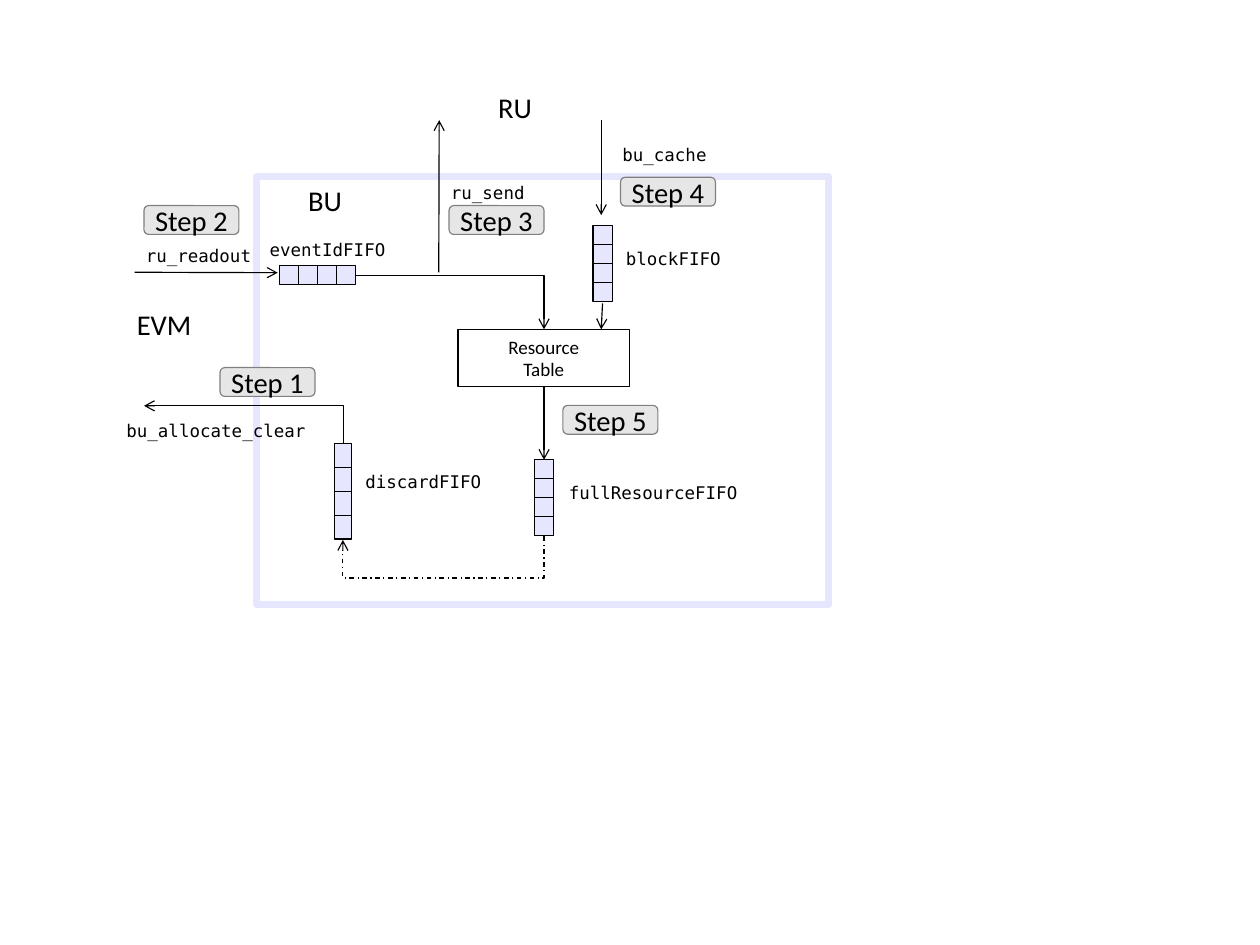
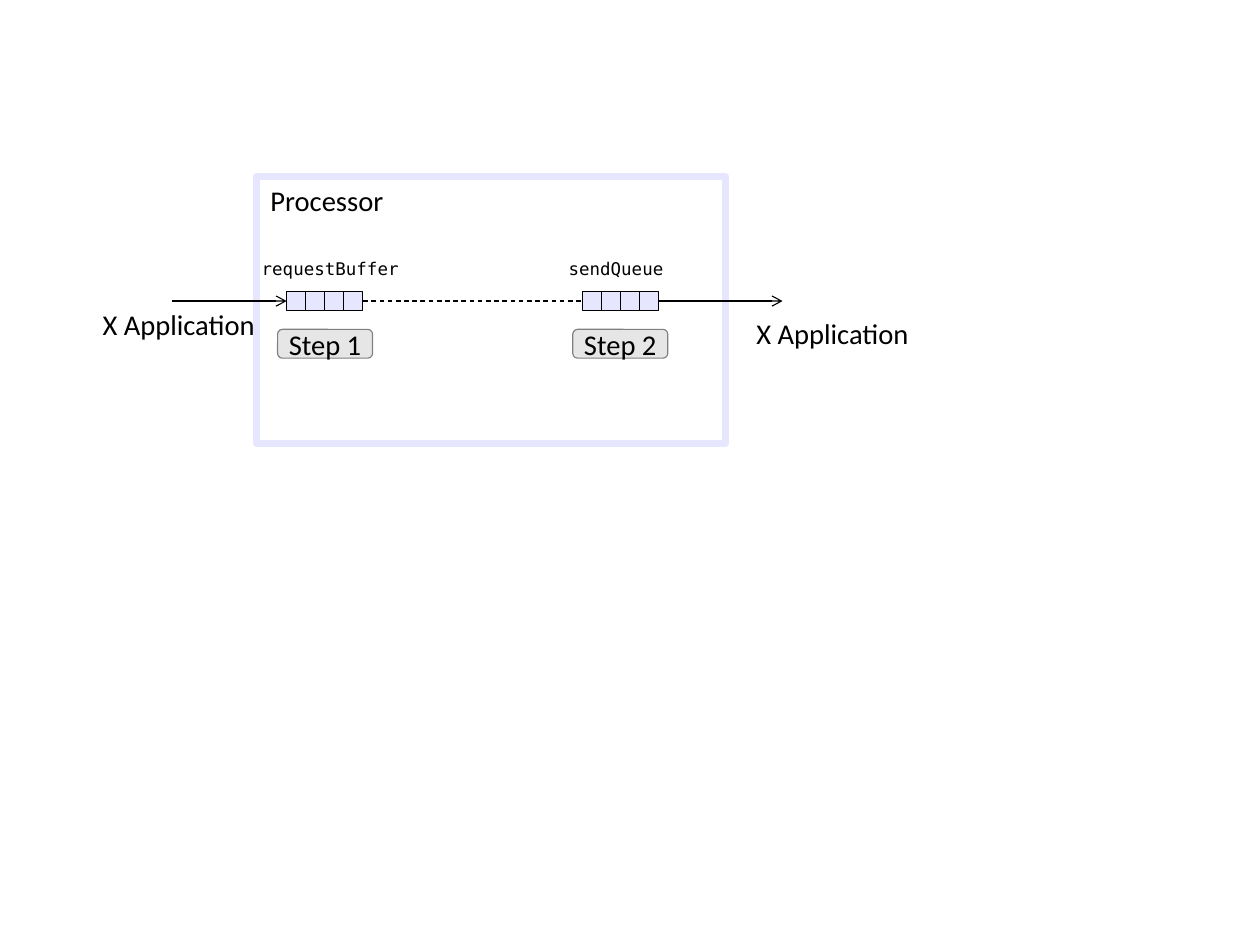
from lxml import etree
from pptx import Presentation
from pptx.dml.color import RGBColor
from pptx.enum import dml, shapes, text
from pptx.oxml import ns
from pptx.util import Cm, Pt

LAVENDER = RGBColor(0xE6, 0xE6, 0xFF)
LIGHT_GREY = RGBColor(0xE6, 0xE6, 0xE6)
MID_GREY = RGBColor(0x80, 0x80, 0x80)
BLACK = RGBColor(0, 0, 0)
WHITE = RGBColor(0xFF, 0xFF, 0xFF)

SANS = "Calibri"
MONO = "DejaVu Sans Mono"
LEFT, CENTER = text.PP_ALIGN.LEFT, text.PP_ALIGN.CENTER
RECT = shapes.MSO_SHAPE.RECTANGLE
ROUNDED = shapes.MSO_SHAPE.ROUNDED_RECTANGLE
FRAME_LEFT, FRAME_TOP = 5.71, 3.92
CELL = 0.43
CELL_PITCH = 0.42
CELL_COUNT = 4
MONO_ADVANCE = 0.24
LABEL_PADDING = 0.6


def write(frame, words, font, size, align=LEFT, spacing=None):
    frame.text = words
    for paragraph in frame.paragraphs:
        paragraph.alignment = align
        if spacing:
            paragraph.line_spacing = spacing
        for run in paragraph.runs:
            run.font.name = font
            run.font.size = Pt(size)
            run.font.color.rgb = BLACK


class Diagram:
    """Framed diagram; all positions are centimetres from the frame's corner."""

    def __init__(self, slide, left, top, width, height):
        self.shapes = slide.shapes
        self.left, self.top = left, top
        self.box(self.shapes, RECT, 0, 0, width, height, None, LAVENDER, 4.31)

    def point(self, x, y):
        return Cm(self.left + x), Cm(self.top + y)

    def box(self, parent, kind, x, y, width, height, fill, outline, weight=0.75):
        shape = parent.add_shape(kind, *self.point(x, y), Cm(width), Cm(height))
        shape.shadow.inherit = False
        if fill is None:
            shape.fill.background()
        else:
            shape.fill.solid()
            shape.fill.fore_color.rgb = fill
        shape.line.color.rgb = outline
        shape.line.width = Pt(weight)
        return shape

    def textbox(self, x, y, width, height):
        frame = self.shapes.add_textbox(*self.point(x, y), Cm(width), Cm(height)).text_frame
        frame.word_wrap = True
        return frame

    def heading(self, words, x, y, width, spacing=None):
        write(self.textbox(x, y, width, 1.02), words, SANS, 18, spacing=spacing)

    def label(self, words, x, y, align=LEFT):
        """Code name on one line; x is its left edge, or its middle if centred."""
        width = len(words) * MONO_ADVANCE + LABEL_PADDING
        if align == CENTER:
            x -= width / 2
        write(self.textbox(x, y, width, 0.7), words, MONO, 11, align, 0.98)

    def step(self, number, x, y):
        badge = self.box(self.shapes, ROUNDED, x, y, 2.11, 0.64, LIGHT_GREY, MID_GREY)
        frame = badge.text_frame
        frame.word_wrap = False
        frame.vertical_anchor = text.MSO_ANCHOR.MIDDLE
        write(frame, f"Step {number}", SANS, 18, CENTER, 1.02)

    def fifo(self, x, y, dx=0, dy=0, width=CELL, height=CELL):
        """Grouped queue cells, each shifted by (dx, dy) from the one before."""
        queue = self.shapes.add_group_shape().shapes
        for i in range(CELL_COUNT):
            self.box(queue, RECT, x + i * dx, y + i * dy, width, height, LAVENDER, BLACK)

    def line(self, start, end, arrow=True, dash=None, kind=shapes.MSO_CONNECTOR.STRAIGHT):
        connector = self.shapes.add_connector(kind, *self.point(*start), *self.point(*end))
        connector.line.color.rgb = BLACK
        connector.line.width = Pt(0.75)
        if dash:
            connector.line.dash_style = dash
        properties = connector.element.spPr
        if arrow:
            outline = properties.find(ns.qn("a:ln"))
            etree.SubElement(outline, ns.qn("a:tailEnd"), type="arrow")
        etree.SubElement(properties, ns.qn("a:effectLst"))
        return connector

    def elbow(self, start, end, turn=0, flip=False, bend=None, dash=None):
        """Bent arrow; turn is 0, 90 or 270 degrees, bend a ratio for a third leg."""
        if turn:
            mid_x, mid_y = (start[0] + end[0]) / 2, (start[1] + end[1]) / 2
            half_w, half_h = abs(end[1] - start[1]) / 2, abs(end[0] - start[0]) / 2
            if flip:
                half_h = -half_h
            start = (mid_x - half_w, mid_y - half_h)
            end = (mid_x + half_w, mid_y + half_h)
        connector = self.line(start, end, dash=dash, kind=shapes.MSO_CONNECTOR.ELBOW)
        properties = connector.element.spPr
        if turn:
            properties.find(ns.qn("a:xfrm")).set("rot", str(turn * 60000))
        geometry = properties.find(ns.qn("a:prstGeom"))
        if bend is None:
            geometry.set("prst", "bentConnector2")
        else:
            guides = geometry.find(ns.qn("a:avLst"))
            etree.SubElement(guides, ns.qn("a:gd"), name="adj1",
                             fmla=f"val {round(bend * 100000)}")


def builder_unit(slide, left, top):
    unit = Diagram(slide, left, top, 12.7, 9.52)
    unit.heading("BU", 0.89, 0.03, 1.6)
    unit.heading("EVM", -2.92, 2.78, 1.9)
    unit.heading("RU", 5.11, -2.06, 1.6, 1.02)

    unit.fifo(0.51, 1.98, dx=CELL_PITCH)
    unit.fifo(7.47, 1.1, dy=CELL_PITCH)
    unit.fifo(6.17, 6.3, dy=CELL_PITCH)
    unit.fifo(1.72, 5.94, dy=0.53, width=0.38, height=0.53)
    table = unit.box(unit.shapes, RECT, 4.47, 3.4, 3.81, 1.27, WHITE, BLACK)
    table.text_frame.vertical_anchor = text.MSO_ANCHOR.TOP
    write(table.text_frame, "Resource\nTable", SANS, 12, CENTER)

    for words, x, y in (
        ("ru_readout", -2.72, 1.42),
        ("eventIdFIFO", 0.03, 1.29),
        ("blockFIFO", 7.95, 1.49),
        ("fullResourceFIFO", 6.68, 6.7),
        ("discardFIFO", 2.16, 6.44),
        ("bu_cache", 7.87, -0.82),
        ("bu_allocate_clear", -3.15, 5.31),
        ("ru_send", 4.06, 0.02),
    ):
        unit.label(words, x, y)

    for start, end in (
        ((-2.72, 2.13), (0.46, 2.14)),
        ((4.04, 2.13), (4.05, -1.25)),
        ((7.65, -1.25), (7.65, 0.86)),
        ((7.68, 2.82), (7.65, 3.4)),
        ((6.38, 4.67), (6.38, 6.3)),
    ):
        unit.line(start, end)
    unit.elbow((2.21, 2.2), (6.38, 3.4))
    unit.elbow((1.92, 5.94), (-2.51, 5.1), turn=270, flip=True)
    unit.elbow((6.38, 8), (1.91, 8.08), turn=90, bend=11.58,
               dash=dml.MSO_LINE.DASH_DOT)

    steps = ((-0.82, 4.25), (-2.51, 0.65), (4.27, 0.65), (8.08, 0.02), (6.8, 5.09))
    for number, (x, y) in enumerate(steps, 1):
        unit.step(number, x, y)


def processor(slide, left, top):
    unit = Diagram(slide, left, top, 10.41, 5.94)
    unit.heading("Processor", 0.05, 0.02, 3.2)
    queues = (("requestBuffer", 0.66, 1.63, 0.46), ("sendQueue", 7.24, 7.98, 7.02))
    for number, (name, cells_x, name_x, step_x) in enumerate(queues, 1):
        unit.fifo(cells_x, 2.55, dx=CELL_PITCH)
        unit.label(name, name_x, 1.72, CENTER)
        unit.step(number, step_x, 3.4)

    flow_y = 2.77
    unit.line((-1.88, flow_y), (0.66, flow_y))
    unit.line((8.94, flow_y), (11.68, flow_y))
    unit.line((2.36, flow_y), (7.24, flow_y), arrow=False, dash=dml.MSO_LINE.DASH)
    for x, y in ((-3.68, 2.78), (10.85, 2.98)):
        unit.heading("X Application", x, y, 4.1)


def main():
    deck = Presentation()
    deck.slide_width, deck.slide_height = Cm(28), Cm(21)
    blank = deck.slide_layouts[6]
    for draw in (builder_unit, processor):
        draw(deck.slides.add_slide(blank), FRAME_LEFT, FRAME_TOP)
    deck.save("out.pptx")


if __name__ == "__main__":
    main()
